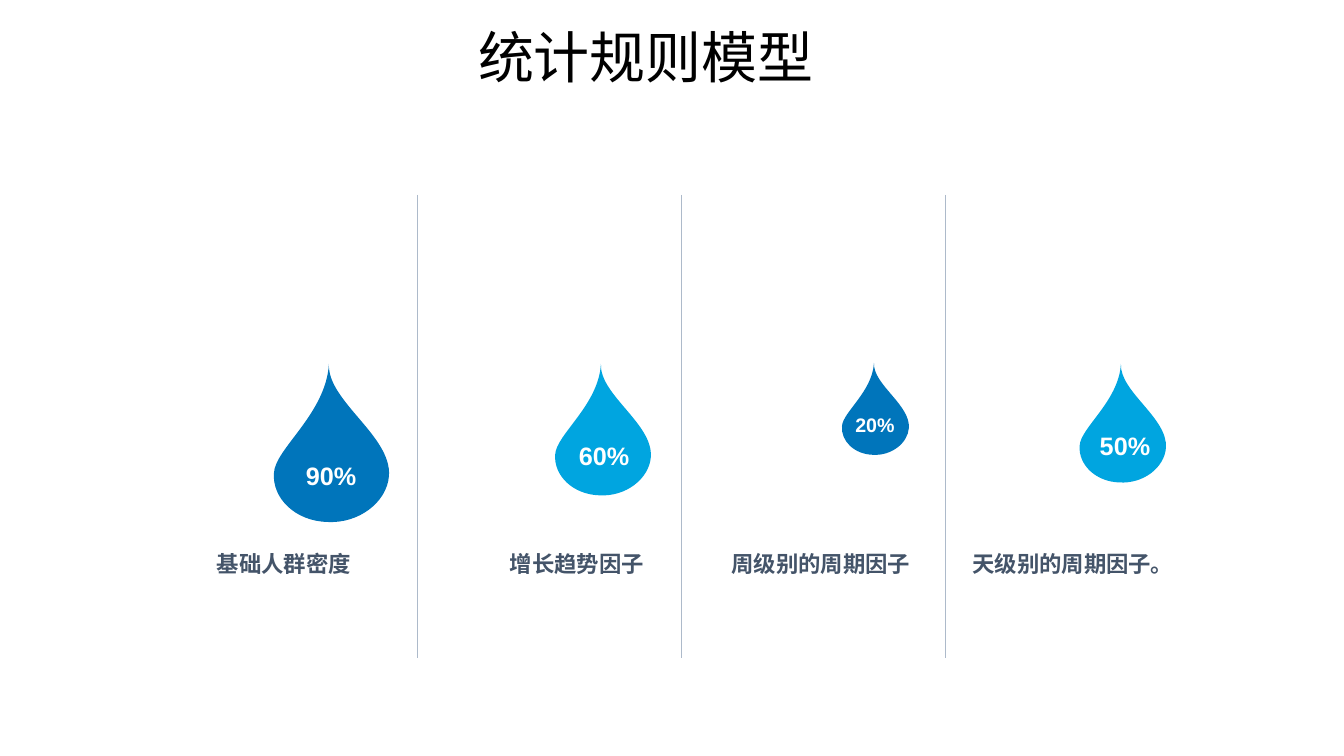
from lxml import etree
from pptx import Presentation
from pptx.dml.color import RGBColor
from pptx.enum.shapes import MSO_CONNECTOR
from pptx.enum.text import MSO_AUTO_SIZE, PP_ALIGN
from pptx.oxml.ns import qn
from pptx.util import Pt

SCALE = 914400 / 100.8  # EMU per px
COLOURS = {
    "title": "000000",
    "deep": "0075BB",
    "bright": "00A5E0",
    "percent": "FFFFFF",
    "caption": "445469",
    "divider": "ADBACA",
}


def px(length):
    return round(length * SCALE)


def add_text(box, text, colour, margins, alignment, font_values):
    shape = slide.shapes.add_textbox(*[px(length) for length in box])
    frame = shape.text_frame
    frame.word_wrap = True
    frame.auto_size = MSO_AUTO_SIZE.SHAPE_TO_FIT_TEXT
    for side, margin in zip(("left", "top", "right", "bottom"), margins):
        setattr(frame, f"margin_{side}", px(margin))
    paragraph = frame.paragraphs[0]
    paragraph.alignment = alignment
    run = paragraph.add_run()
    run.text = text
    for name, value in font_values.items():
        setattr(run.font, name, value)
    run.font.color.rgb = RGBColor.from_string(COLOURS[colour])


presentation = Presentation()
presentation.slide_width = px(1344)
presentation.slide_height = px(756)
slide = presentation.slides.add_slide(presentation.slide_layouts[6])

# Title
add_text((16, 18, 1291, 78), "统计规则模型", "title", (462, 4, 10, 5),
         PP_ALIGN.LEFT, {"size": Pt(40), "name": "Calibri"})

# Outline of the tallest drop, measured from its tip: a start, then
# two control points and an end point for each curve
DROP_HEIGHT = 160
DROP_OUTLINE = [
    (-55, 109),
    (-57, 134), (-34, 157), (-2, 158),
    (30, 160), (58, 138), (60, 112),
    (63, 72), (-2, 37), (0, 0),
    (-3, 50), (-54, 85), (-55, 109),
]

# Drops with percentages: tip, height, colour, label box, text size
drops = [
    ((329, 364), 160, "deep", "90%", (290, 457, 82, 35), 18),
    ((601, 364), 133, "bright", "60%", (563, 437, 82, 35), 18),
    ((874, 363), 93, "deep", "20%", (834, 410, 82, 29), 14),
    ((1121, 364), 120, "bright", "50%", (1084, 427, 82, 35), 18),
]
for (tip_x, tip_y), height, colour, percent, label_box, size in drops:
    factor = height / DROP_HEIGHT
    points = [(px(tip_x + x * factor), px(tip_y + y * factor)) for x, y in DROP_OUTLINE]
    builder = slide.shapes.build_freeform(*points[0])
    builder.add_line_segments(points[1:], close=True)
    drop = builder.convert_to_shape()

    # Join each three line points into one Bezier curve
    lines = list(drop._element.iter(qn("a:lnTo")))
    for index in range(0, 12, 3):
        curve = etree.Element(qn("a:cubicBezTo"))
        lines[index].addprevious(curve)
        for line in lines[index:index + 3]:
            curve.append(line[0])
    for line in lines:
        line.getparent().remove(line)

    drop.shadow.inherit = False
    drop.fill.solid()
    drop.fill.fore_color.rgb = RGBColor.from_string(COLOURS[colour])
    drop.line.fill.background()
    add_text(label_box, percent, "percent", (5, 3, 5, 3), PP_ALIGN.CENTER,
             {"size": Pt(size), "name": "Arial", "bold": True})

# Column dividers
for column in range(3):
    x = px(417 + 264 * column)
    divider = slide.shapes.add_connector(MSO_CONNECTOR.STRAIGHT, x, px(195), x, px(658))
    divider.line.color.rgb = RGBColor.from_string(COLOURS["divider"])
    divider.line.width = Pt(0.5)
    etree.SubElement(divider._element.spPr, qn("a:effectLst"))

# Captions
captions = [
    (155, "基础人群密度"),
    (448, "增长趋势因子"),
    (692, "周级别的周期因子"),
    (944, "天级别的周期因子。"),
]
for left, caption in captions:
    add_text((left, 550, 258, 27), caption, "caption", (0, 0, 0, 0), PP_ALIGN.CENTER,
             {"size": Pt(16), "name": "Arial", "bold": True})

presentation.save("out.pptx")
